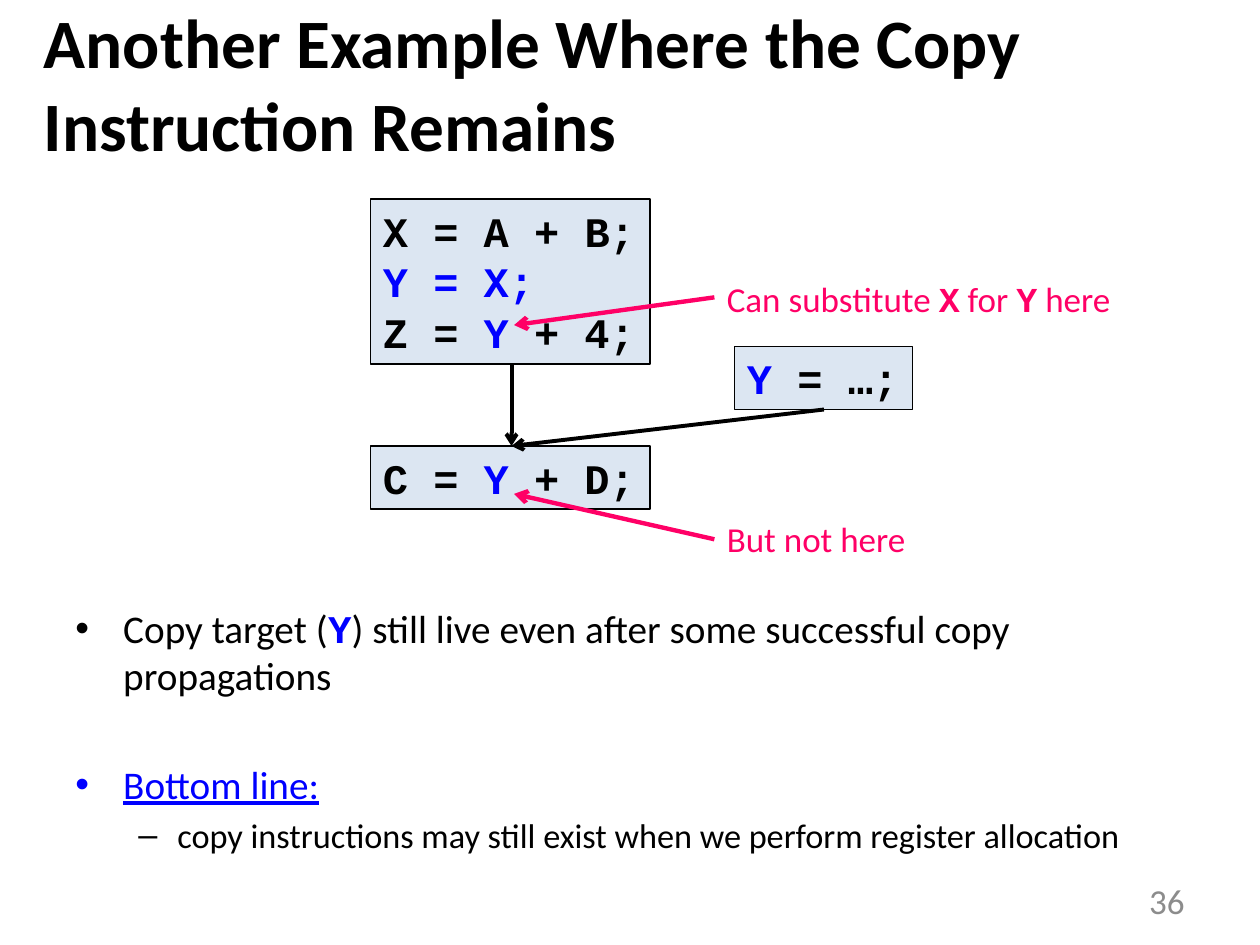
from dataclasses import dataclass
from lxml.etree import SubElement
from pptx import Presentation
from pptx.dml.color import RGBColor
from pptx.enum.shapes import MSO_CONNECTOR as Connector, MSO_SHAPE as Shape
from pptx.enum.text import MSO_ANCHOR as Anchor, PP_ALIGN as Align
from pptx.oxml.ns import qn
from pptx.util import Inches, Pt


@dataclass(frozen=True)
class Theme:
    sans: str = "Calibri"
    mono: str = "Courier New"
    black: str = "000000"
    blue: str = "0000FF"
    pink: str = "FF0066"
    grey: str = "8C8C8C"
    box_fill: str = "DCE6F2"
    title_size: float = 39.6
    code_size: float = 24
    body_size: float = 22.4
    sub_size: float = 19.6
    note_size: float = 20


THEME = Theme()
BLUE = {"color": THEME.blue}
MONO = {"font": THEME.mono, "bold": True}
Y_BLUE = ("Y", BLUE)


def rgb(value):
    return RGBColor.from_string(value)


def add_run(paragraph, text, *, size, font=THEME.sans, color=THEME.black,
            bold=False, underline=False):
    run = paragraph.add_run()
    run.text = text
    run.font.name = font
    run.font.size = Pt(size)
    run.font.bold = bold
    run.font.underline = underline
    run.font.color.rgb = rgb(color)


def write(paragraph, pieces, **style):
    """Each piece is plain text or a pair of text and format changes."""
    for piece in pieces:
        text, changes = (piece, {}) if isinstance(piece, str) else piece
        add_run(paragraph, text, **{**style, **changes})


def fill_frame(frame, lines, *, anchor=Anchor.TOP, align=Align.LEFT, wrap=True, **style):
    frame.word_wrap = wrap
    frame.vertical_anchor = anchor
    for index, pieces in enumerate(lines):
        paragraph = frame.paragraphs[0] if index == 0 else frame.add_paragraph()
        paragraph.alignment = align
        write(paragraph, pieces, **style)


def add_text(slide, box, lines, **style):
    shape = slide.shapes.add_textbox(*map(Inches, box))
    fill_frame(shape.text_frame, lines, **style)
    return shape


def add_code_box(slide, box, lines):
    shape = slide.shapes.add_shape(Shape.RECTANGLE, *map(Inches, box))
    shape.shadow.inherit = False
    shape.fill.solid()
    shape.fill.fore_color.rgb = rgb(THEME.box_fill)
    shape.line.color.rgb = rgb(THEME.black)
    shape.line.width = Pt(0.75)
    fill_frame(shape.text_frame, lines, wrap=False, size=THEME.code_size, **MONO)


def add_arrow(slide, start, end, *, color=THEME.black, width=2.25):
    arrow = slide.shapes.add_connector(Connector.STRAIGHT, *map(Inches, start + end))
    arrow.line.color.rgb = rgb(color)
    arrow.line.width = Pt(width)
    SubElement(arrow.line._get_or_add_ln(), qn("a:tailEnd"), type="arrow")
    SubElement(arrow._element.spPr, qn("a:effectLst"))


def add_note(slide, box, pieces, start, end):
    add_text(slide, box, [pieces], size=THEME.note_size, color=THEME.pink)
    add_arrow(slide, start, end, color=THEME.pink, width=2.5)


def set_bullet(paragraph, mark, *, left, hanging, before, level=0):
    paragraph.level = level
    paragraph.space_before = Pt(before)
    properties = paragraph._p.get_or_add_pPr()
    properties.set("marL", str(Inches(left)))
    properties.set("indent", str(-Inches(hanging)))
    SubElement(properties, qn("a:buFont"), typeface="Arial")
    SubElement(properties, qn("a:buChar"), char=mark)


def add_bullets(slide):
    lines = [
        ["Copy target (", ("Y", {**MONO, **BLUE}),
         ") still live even after some successful copy propagations"],
        [("Bottom line:", {**BLUE, "underline": True})],
        [("copy instructions may still exist when we perform register allocation",
          {"size": THEME.sub_size})],
    ]
    shape = add_text(slide, (0.5, 4.75, 9, 2.17), lines, size=THEME.body_size)
    first, second, detail = shape.text_frame.paragraphs
    set_bullet(first, "•", left=0.38, hanging=0.38, before=0)
    set_bullet(second, "•", left=0.38, hanging=0.38, before=35)
    set_bullet(detail, "–", left=0.81, hanging=0.31, before=4, level=1)


def main():
    presentation = Presentation()
    presentation.slide_width, presentation.slide_height = Inches(10), Inches(7.5)
    slide = presentation.slides.add_slide(presentation.slide_layouts[6])

    # Title, body and page number
    add_text(slide, (0.25, 0, 9.83, 1.31),
             [["Another Example Where the Copy Instruction Remains"]],
             anchor=Anchor.MIDDLE, size=THEME.title_size, bold=True)
    add_bullets(slide)
    add_text(slide, (7.17, 6.95, 2.33, 0.4), [["36"]], anchor=Anchor.MIDDLE,
             align=Align.RIGHT, size=THEME.note_size, color=THEME.grey)

    # Code blocks
    add_code_box(slide, (2.94, 1.58, 2.22, 1.31),
                 [["X = A + B;"], [("Y = X;", BLUE)], ["Z = ", Y_BLUE, " + 4;"]])
    add_code_box(slide, (5.83, 2.75, 1.41, 0.5), [[("Y ", BLUE), "= …;"]])
    add_code_box(slide, (2.94, 3.54, 2.22, 0.5), [["C = ", Y_BLUE, " + D;"]])

    # Control flow into the last block
    merge = (4.06, 3.54)
    for start in ((4.06, 2.9), (6.54, 3.25)):
        add_arrow(slide, start, merge)

    # Notes with their arrows
    add_note(slide, (5.67, 2.15, 3.83, 0.44),
             ["Can substitute ", ("X", MONO), " for ", ("Y", MONO), " here"],
             (5.67, 2.36), (4.08, 2.58))
    add_note(slide, (5.67, 4.06, 2, 0.44), ["But not here"], (5.67, 4.28), (4.08, 3.92))

    presentation.save("out.pptx")


main()
